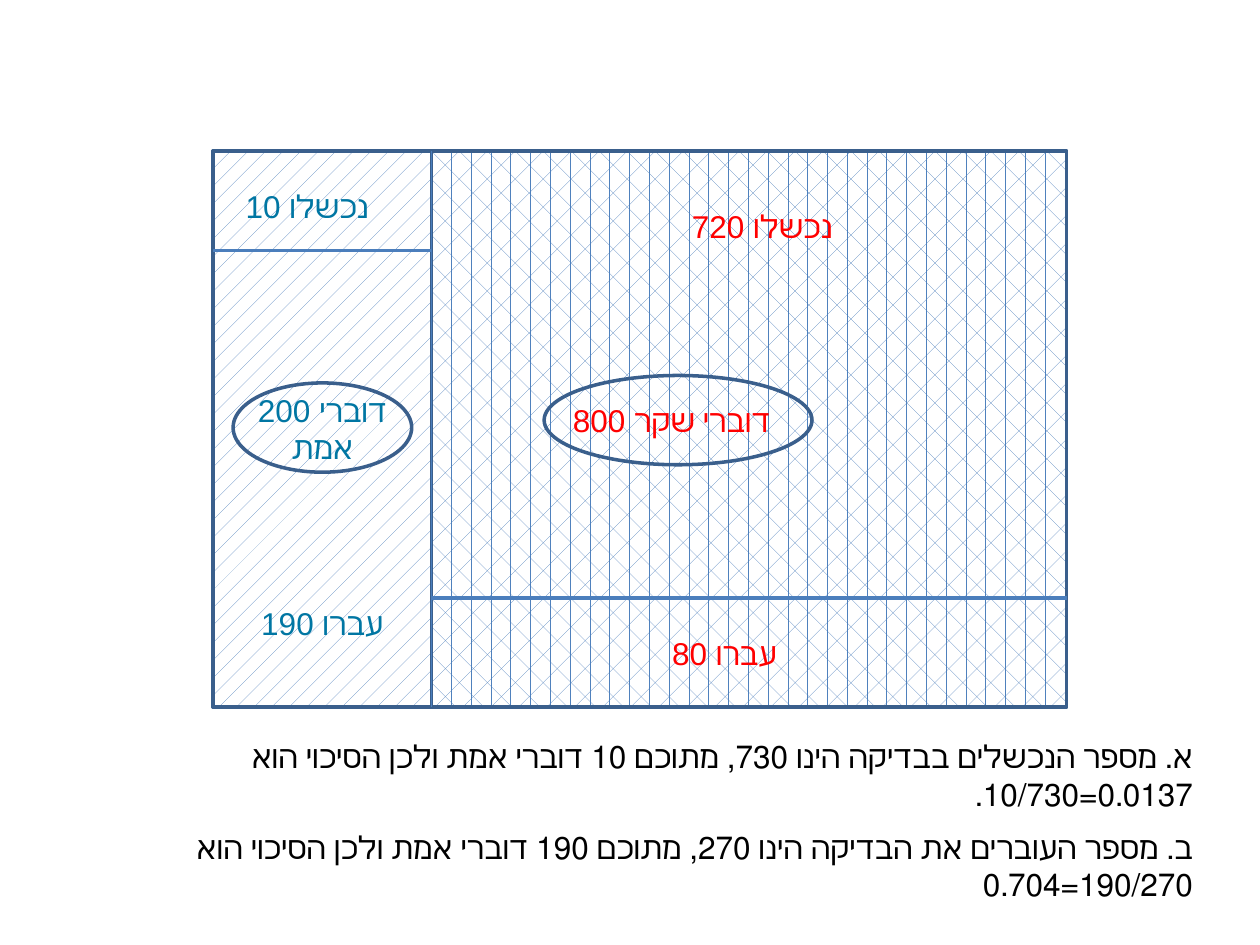
from pptx import Presentation
from pptx.dml.color import RGBColor
from pptx.enum.dml import MSO_PATTERN
from pptx.enum.shapes import MSO_CONNECTOR, MSO_SHAPE
from pptx.enum.text import MSO_AUTO_SIZE, PP_ALIGN
from pptx.oxml.ns import qn
from pptx.util import Cm, Pt

WHITE = RGBColor(0xFF, 0xFF, 0xFF)
BLACK = RGBColor(0, 0, 0)
RED = RGBColor(0xFF, 0, 0)
TEAL = RGBColor(0x00, 0x76, 0xA3)
BLUE = RGBColor(0x4F, 0x81, 0xBD)
NAVY = RGBColor(0x3A, 0x5F, 0x8C)
RULE = RGBColor(0x4B, 0x7E, 0xBC)

LEFT, SPLIT, RIGHT = 4.3, 8.7, 21.5
TOP, BASE = 3.05, 14.25
FAIL, PASS = 5.05, 12.05


class Board:
    """Draws the parts of the diagram on one slide in one style."""

    def __init__(self, slide, font="Arial", size=18):
        self.shapes = slide.shapes
        self.font = font
        self.size = Pt(size)

    def shape(self, kind, x, y, w, h, hatch=None):
        item = self.shapes.add_shape(kind, Cm(x), Cm(y), Cm(w), Cm(h))
        item.shadow.inherit = False
        item.line.color.rgb = NAVY
        item.line.width = Pt(2)
        if hatch is None:
            item.fill.background()
        else:
            item.fill.patterned()
            item.fill.pattern = hatch
            item.fill.fore_color.rgb = BLUE
            item.fill.back_color.rgb = WHITE

    def area(self, start, end, hatch=None):
        self.shape(MSO_SHAPE.RECTANGLE, start, TOP, end - start, BASE - TOP, hatch)

    def oval(self, x, y, w, h):
        self.shape(MSO_SHAPE.OVAL, x, y, w, h)

    def line(self, x1, y1, x2, y2, width=2.25):
        item = self.shapes.add_connector(
            MSO_CONNECTOR.STRAIGHT, Cm(x1), Cm(y1), Cm(x2), Cm(y2))
        item.line.color.rgb = RULE
        item.line.width = Pt(width)
        props = item._element.spPr
        props.append(props.makeelement(qn("a:effectLst"), {}))

    def text(self, words, x, y, w, h, color, align=PP_ALIGN.LEFT, rtl=False):
        frame = self.shapes.add_textbox(Cm(x), Cm(y), Cm(w), Cm(h)).text_frame
        frame.word_wrap = True
        frame.auto_size = MSO_AUTO_SIZE.SHAPE_TO_FIT_TEXT
        para = frame.paragraphs[0]
        para.text = words
        para.alignment = align
        if rtl:
            para._p.get_or_add_pPr().set("rtl", "1")
        para.font.name = self.font
        para.font.size = self.size
        para.font.color.rgb = color

    def answer(self, words, x, y, w):
        self.text(words, x, y, w, 1.8, BLACK, PP_ALIGN.RIGHT, True)


def main():
    deck = Presentation()
    deck.slide_width, deck.slide_height = Cm(25.4), Cm(19.05)
    board = Board(deck.slides.add_slide(deck.slide_layouts[6]))

    board.area(LEFT, SPLIT, MSO_PATTERN.PERCENT_5)
    board.area(SPLIT, RIGHT, MSO_PATTERN.DIVOT)
    board.area(LEFT, RIGHT)
    board.line(SPLIT, TOP, SPLIT, BASE, 0.75)
    board.line(LEFT, FAIL, SPLIT, FAIL)
    board.line(SPLIT, PASS, RIGHT, PASS)

    board.text("720 נכשלו", 13.7, 4.05, 3.6, 1.02, RED)
    board.text("80 עברו", 13.3, 12.65, 3.6, 1.02, RED)
    board.text("10 נכשלו", 4.7, 3.65, 3.6, 1.02, TEAL)
    board.text("190 עברו", 4.7, 12.05, 3.6, 1.02, TEAL, PP_ALIGN.CENTER)
    board.text("800 דוברי שקר", 11.3, 7.95, 6.6, 1.02, RED)
    board.text("200 דוברי אמת", 4.7, 7.75, 3.6, 1.8, TEAL, PP_ALIGN.CENTER)
    board.oval(10.97, 7.57, 5.4, 1.8)
    board.oval(4.7, 7.72, 3.6, 1.8)

    board.answer("א. מספר הנכשלים בבדיקה הינו 730, מתוכם 10 דוברי אמת "
                 "ולכן הסיכוי הוא 0.0137=10/730.", 1.1, 14.73, 23.2)
    board.answer("ב. מספר העוברים את הבדיקה הינו 270, מתוכם 190 דוברי אמת "
                 "ולכן הסיכוי הוא 190/270=0.704", 0.3, 16.56, 24)
    deck.save("out.pptx")


if __name__ == "__main__":
    main()
